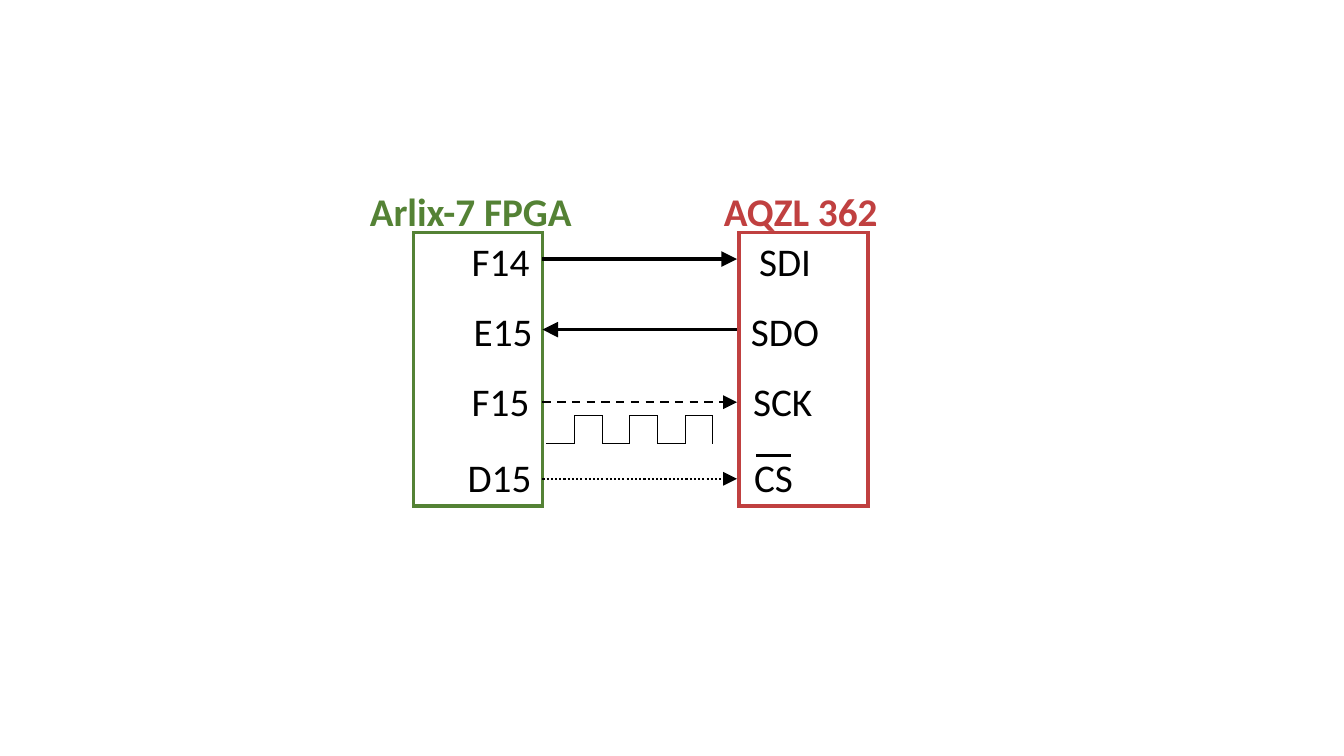
import itertools

import pptx
import pptx.util
import pptx.dml.color
import pptx.enum.dml
import pptx.enum.shapes
import pptx.enum.text
import pptx.oxml.ns
import lxml.etree

SLIDE_WIDTH, SLIDE_HEIGHT = 13.33, 7.5
BLACK, GREEN, RED = "000000", "548235", "C04040"
CHIP_TOP, CHIP_WIDTH, CHIP_HEIGHT = 2.31, 1.28, 2.71
LABEL_HEIGHT, TITLE_TOP = 0.57, 1.81
BOLD_LINE, DASHED_LINE, CLOCK_LINE = 2.25, 1.5, 0.5

# name, colour, chip left, title left, title width
CHIPS = [
    ("Arlix-7 FPGA", GREEN, 4.1, 3.57, 2.35),
    ("AQZL 362", RED, 7.33, 7.08, 1.75),
]
# label top, wire height, arrow end, weight, dash, then (pin, left, width) on each chip
SIGNALS = [
    (2.31, 2.57, "tailEnd", BOLD_LINE, None, ("F14", 4.58, 0.78), ("SDI", 7.43, 0.72)),
    (3, 3.27, "headEnd", BOLD_LINE, None, ("E15", 4.6, 0.79), ("SDO", 7.35, 0.88)),
    (3.69, 3.99, "tailEnd", DASHED_LINE, "DASH", ("F15", 4.58, 0.78), ("SCK", 7.37, 0.79)),
    (4.45, 4.75, "tailEnd", DASHED_LINE, "ROUND_DOT", ("D15", 4.54, 0.84), ("CS", 7.38, 0.59)),
]
WIRE_START, WIRE_END = 5.38, 7.31
CLOCK_LEFT, CLOCK_LOW, CLOCK_HIGH, HALF_PERIOD, HALF_PERIODS = 5.42, 4.4, 4.12, 0.275, 6
CS_BAR = (7.5, 4.52), (7.85, 4.52)

inch = pptx.util.Inches
qn = pptx.oxml.ns.qn


def color(value):
    """Turn a hex string into a colour."""
    return pptx.dml.color.RGBColor.from_string(value)


def add_label(slide, text, left, top, width, ink=BLACK, bold=False):
    """Place one line of text."""
    label = slide.shapes.add_textbox(inch(left), inch(top), inch(width), inch(LABEL_HEIGHT))
    label.text_frame.word_wrap = False
    label.text_frame.auto_size = pptx.enum.text.MSO_AUTO_SIZE.SHAPE_TO_FIT_TEXT
    run = label.text_frame.paragraphs[0].add_run()
    run.text = text
    run.font.name, run.font.size, run.font.bold = "Calibri", pptx.util.Pt(28), bold
    run.font.color.rgb = color(ink)


def add_chip(slide, name, ink, left, title_left, title_width):
    """Draw a chip outline with its name above."""
    chip = slide.shapes.add_shape(
        pptx.enum.shapes.MSO_SHAPE.RECTANGLE,
        inch(left), inch(CHIP_TOP), inch(CHIP_WIDTH), inch(CHIP_HEIGHT))
    chip.shadow.inherit = False
    chip.fill.background()
    chip.line.color.rgb = color(ink)
    chip.line.width = pptx.util.Pt(BOLD_LINE)
    outline = chip._element.spPr.find(qn("a:ln"))
    lxml.etree.SubElement(outline, qn("a:miter"), lim="800000")
    add_label(slide, name, title_left, TITLE_TOP, title_width, ink, True)


def add_wire(slide, start, end, weight, dash=None, arrow=None):
    """Draw a straight line, with an optional dash and arrowhead."""
    wire = slide.shapes.add_connector(
        pptx.enum.shapes.MSO_CONNECTOR.STRAIGHT, *map(inch, start + end))
    wire.line.color.rgb = color(BLACK)
    wire.line.width = pptx.util.Pt(weight)
    if dash:
        wire.line.dash_style = pptx.enum.dml.MSO_LINE[dash]
    properties = wire._element.spPr
    if arrow:
        lxml.etree.SubElement(
            properties.find(qn("a:ln")), qn("a:" + arrow), type="triangle", w="lg", len="lg")
    lxml.etree.SubElement(properties, qn("a:effectLst"))


def add_clock(slide):
    """Draw the square wave under the clock wire."""
    corners = []
    for half in range(HALF_PERIODS):
        level = CLOCK_HIGH if half % 2 else CLOCK_LOW
        corners += [(CLOCK_LEFT + HALF_PERIOD * step, level) for step in (half, half + 1)]
    corners.append((CLOCK_LEFT + HALF_PERIOD * HALF_PERIODS, CLOCK_LOW))
    for start, end in itertools.pairwise(corners):
        add_wire(slide, start, end, CLOCK_LINE)


def main():
    """Build the wiring slide."""
    deck = pptx.Presentation()
    deck.slide_width, deck.slide_height = inch(SLIDE_WIDTH), inch(SLIDE_HEIGHT)
    slide = deck.slides.add_slide(deck.slide_layouts[6])
    for chip in CHIPS:
        add_chip(slide, *chip)
    for label_top, wire_y, arrow, weight, dash, *pins in SIGNALS:
        for pin, left, width in pins:
            add_label(slide, pin, left, label_top, width)
        add_wire(slide, (WIRE_START, wire_y), (WIRE_END, wire_y), weight, dash, arrow)
    add_clock(slide)
    add_wire(slide, *CS_BAR, BOLD_LINE)
    deck.save("out.pptx")


if __name__ == "__main__":
    main()
